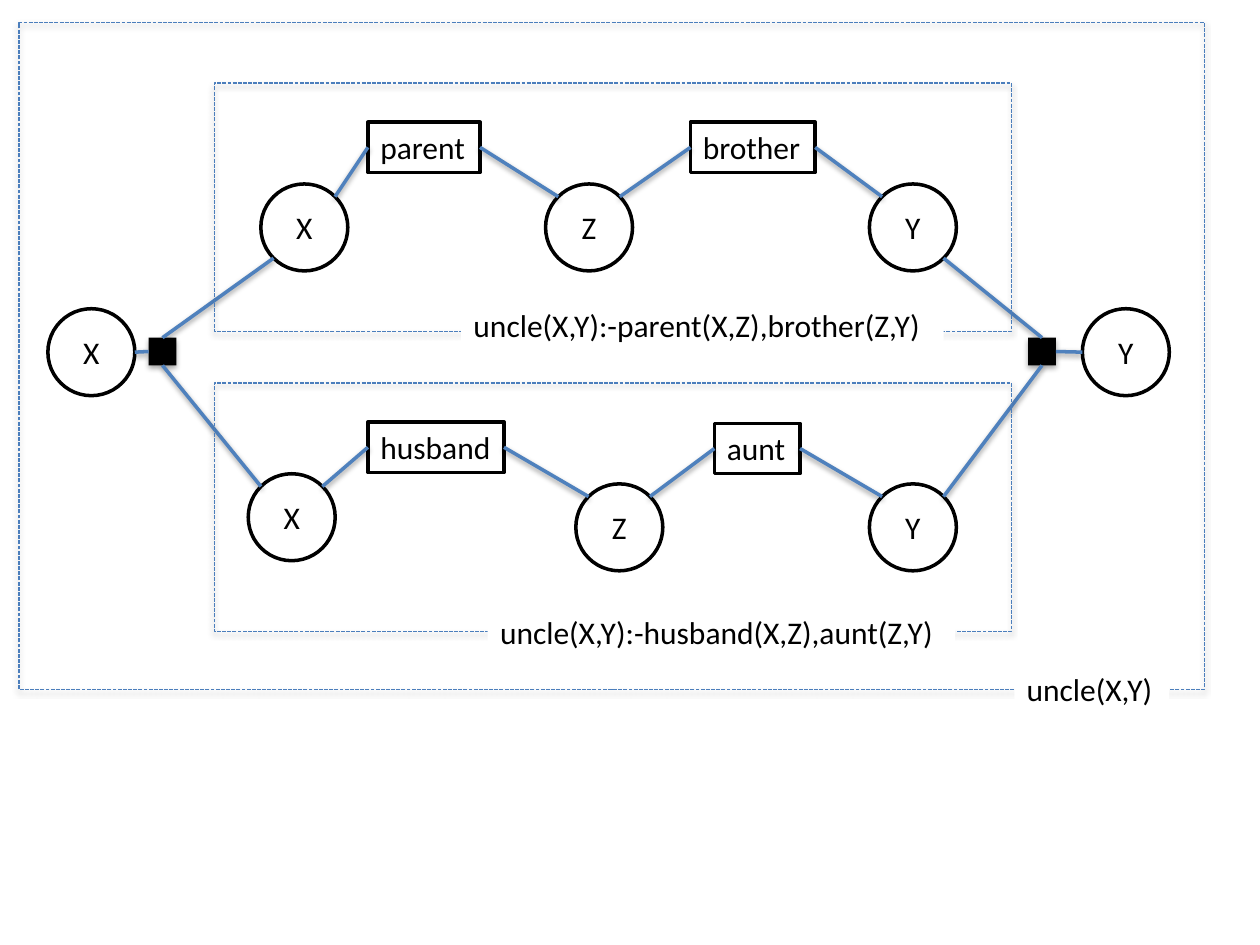
from math import sqrt
from pptx import Presentation
from pptx.dml.color import RGBColor
from pptx.enum.dml import MSO_LINE
from pptx.enum.shapes import MSO_CONNECTOR, MSO_SHAPE
from pptx.enum.text import MSO_ANCHOR, MSO_AUTO_SIZE, PP_ALIGN
from pptx.util import Inches, Pt

CIRCLE, SQUARE, BOX_H = 0.69, 0.22, 0.4
BLACK, WHITE, BLUE, FRAME_BLUE = "000000", "FFFFFF", "4F81BD", "4B7EBC"

VARIABLES = {
    "x1": ("X", 2.07, 1.46), "z1": ("Z", 4.33, 1.46), "y1": ("Y", 6.9, 1.46),
    "x2": ("X", 1.97, 3.76), "z2": ("Z", 4.57, 3.84), "y2": ("Y", 6.9, 3.84),
    "x": ("X", 0.38, 2.45), "y": ("Y", 8.59, 2.45),
}
PREDICATES = {
    "parent": (2.92, 0.97, 0.89), "brother": (5.48, 0.97, 0.99),
    "husband": (2.92, 3.35, 1.08), "aunt": (5.67, 3.36, 0.68),
}
JUNCTIONS = {"in": (1.18, 2.68), "out": (8.16, 2.68)}
FRAMES = [(1.7, 0.66, 6.33, 1.97), (1.7, 3.04, 6.33, 1.97), (0.15, 0.18, 9.41, 5.29)]
LABELS = [
    ("uncle(X,Y)", 8.05, 5.27, 1.23),
    ("uncle(X,Y):-husband(X,Z),aunt(Z,Y)", 3.87, 4.82, 3.71),
    ("uncle(X,Y):-parent(X,Z),brother(Z,Y)", 3.66, 2.38, 3.83),
]
LINKS = [
    ("x1", "NE", "parent", "W"), ("parent", "E", "z1", "NW"),
    ("z1", "NE", "brother", "W"), ("brother", "E", "y1", "NW"),
    ("x2", "NE", "husband", "W"), ("husband", "E", "z2", "NW"),
    ("z2", "NE", "aunt", "W"), ("aunt", "E", "y2", "NW"),
    ("in", "N", "x1", "SW"), ("in", "S", "x2", "NW"),
    ("y1", "SE", "out", "N"), ("y2", "NE", "out", "S"),
    ("x", "E", "in", "W"), ("y", "W", "out", "E"),
]


def rgb(value):
    return RGBColor.from_string(value)


def add_shape(kind, box, fill=None, line=None, width=2, shadow=False):
    sp = slide.shapes.add_shape(kind, *map(Inches, box))
    if fill:
        sp.fill.solid()
        sp.fill.fore_color.rgb = rgb(fill)
    else:
        sp.fill.background()
    if line:
        sp.line.color.rgb = rgb(line)
        sp.line.width = Pt(width)
    else:
        sp.line.fill.background()
    if not shadow:
        sp.shadow.inherit = False
    return sp


def set_text(sp, text, align, anchor):
    tf = sp.text_frame
    tf.text = text
    tf.vertical_anchor = anchor
    p = tf.paragraphs[0]
    p.alignment = align
    font = p.runs[0].font
    font.name, font.size, font.color.rgb = "Calibri", Pt(18), rgb(BLACK)
    return tf


def add_box(text, left, top, width, line=None):
    sp = add_shape(MSO_SHAPE.RECTANGLE, (left, top, width, BOX_H), WHITE, line)
    tf = set_text(sp, text, PP_ALIGN.LEFT, MSO_ANCHOR.TOP)
    tf.word_wrap = False
    tf.auto_size = MSO_AUTO_SIZE.SHAPE_TO_FIT_TEXT
    return sp


def site(sp, side):
    dx = ("E" in side) - ("W" in side)
    dy = ("S" in side) - ("N" in side)
    reach = 1 / sqrt(2) if dx and dy else 1
    return (int(sp.left + sp.width / 2 * (1 + dx * reach)),
            int(sp.top + sp.height / 2 * (1 + dy * reach)))


prs = Presentation()
prs.slide_width, prs.slide_height = Inches(10), Inches(7.5)
slide = prs.slides.add_slide(prs.slide_layouts[6])

nodes = {}
for key, (text, left, top) in VARIABLES.items():
    nodes[key] = add_shape(MSO_SHAPE.OVAL, (left, top, CIRCLE, CIRCLE), WHITE, BLACK)
    set_text(nodes[key], text, PP_ALIGN.CENTER, MSO_ANCHOR.MIDDLE)
for name, place in PREDICATES.items():
    nodes[name] = add_box(name, *place, line=BLACK)
for key, place in JUNCTIONS.items():
    nodes[key] = add_shape(MSO_SHAPE.RECTANGLE, (*place, SQUARE, SQUARE), BLACK, shadow=True)

for start, start_side, end, end_side in LINKS:
    link = slide.shapes.add_connector(
        MSO_CONNECTOR.STRAIGHT, *site(nodes[start], start_side), *site(nodes[end], end_side))
    link.line.color.rgb = rgb(BLUE)
    link.line.width = Pt(2)

for box in FRAMES:
    frame = add_shape(MSO_SHAPE.RECTANGLE, box, line=FRAME_BLUE, width=0.75, shadow=True)
    frame.line.dash_style = MSO_LINE.SQUARE_DOT

for label in LABELS:
    add_box(*label)

prs.save("out.pptx")
